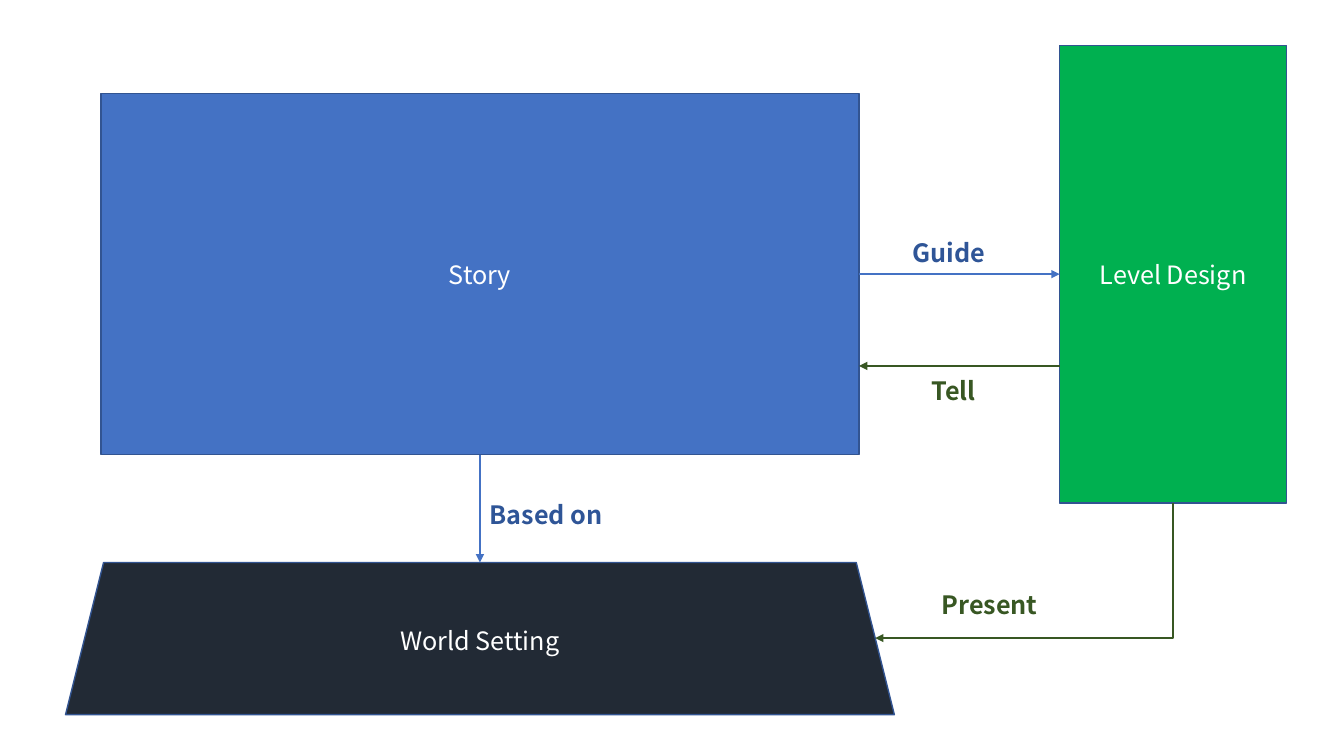
from lxml import etree
from pptx import Presentation
from pptx import util as u
from pptx.dml.color import RGBColor
from pptx.enum import shapes, text
from pptx.oxml.ns import qn

PX = 9144  # EMU per px, 100 px to the inch
FONT = "Noto Sans CJK SC"
BLUE, NAVY, GREEN = "4472C4", "2F5597", "385723"
TOP, LEFT, BOTTOM, RIGHT = range(4)


def px(*lengths):
    return [u.Emu(int(n * PX)) for n in lengths]


def rgb(value):
    return RGBColor.from_string(value)


def write(sp, words, color, bold=False, align=text.PP_ALIGN.LEFT,
          anchor=text.MSO_ANCHOR.TOP):
    tf = sp.text_frame
    tf.word_wrap = True
    tf.vertical_anchor = anchor
    p = tf.paragraphs[0]
    p.alignment = align
    r = p.add_run()
    r.text = words
    r.font.name, r.font.size, r.font.bold = FONT, u.Pt(18), bold
    r.font.color.rgb = rgb(color)
    ea = etree.SubElement(r.font._element, qn("a:ea"))
    ea.set("typeface", FONT)


def block(s, box, words, fill, kind=shapes.MSO_SHAPE.RECTANGLE):
    sp = s.shapes.add_shape(kind, *px(*box))
    sp.shadow.inherit = False
    sp.fill.solid()
    sp.fill.fore_color.rgb = rgb(fill)
    sp.line.color.rgb = rgb("325491")
    sp.line.width = u.Pt(1)
    write(sp, words, "FFFFFF", align=text.PP_ALIGN.CENTER,
          anchor=text.MSO_ANCHOR.MIDDLE)
    return sp


def label(s, box, words, color):
    sp = s.shapes.add_textbox(*px(*box))
    write(sp, words, color, bold=True)
    sp.text_frame.auto_size = text.MSO_AUTO_SIZE.SHAPE_TO_FIT_TEXT


def arrow(s, start, end, color, kind=shapes.MSO_CONNECTOR.STRAIGHT):
    c = s.shapes.add_connector(kind, *px(*start, *end))
    c.line.color.rgb = rgb(color)
    c.line.width = u.Pt(1.5)
    etree.SubElement(c.line._get_or_add_ln(), qn("a:tailEnd")).set("type", "triangle")
    etree.SubElement(c._element.spPr, qn("a:effectLst"))
    return c


def down_left_arrow(s, start, end, color):
    """One-bend arrow: a quarter-turned elbow, down and then left."""
    drop, run = end[1] - start[1], start[0] - end[0]
    cx, cy = (start[0] + end[0]) / 2, (start[1] + end[1]) / 2
    c = arrow(s, (cx - drop / 2, cy - run / 2), (cx + drop / 2, cy + run / 2),
              color, shapes.MSO_CONNECTOR.ELBOW)
    c._element.spPr.find(qn("a:prstGeom")).set("prst", "bentConnector2")
    c._element.spPr.find(qn("a:xfrm")).set("rot", str(90 * 60000))


def diagram(s, box):
    x, y, w, h = box

    # Blocks
    world_box = (x, y + h - 151, 822, 151)
    story_box = (x + 35, y + 48, 752, 358)
    level_box = (x + w - 225, y, 225, 454)
    world = block(s, world_box, "World Setting", "222A35", shapes.MSO_SHAPE.TRAPEZOID)
    story = block(s, story_box, "Story", BLUE)
    level = block(s, level_box, "Level Design", "00B050")

    # Anchor points
    story_x = story_box[0] + story_box[2] // 2
    story_right = story_box[0] + story_box[2]
    story_bottom = story_box[1] + story_box[3]
    level_left, level_bottom = level_box[0], y + level_box[3]
    level_x = level_left + level_box[2] // 2
    guide_y = y + level_box[3] // 2
    tell_y = guide_y + 91
    world_side = (x + world_box[2] - 19, world_box[1] + world_box[3] // 2)

    # Story to world setting
    c = arrow(s, (story_x, story_bottom), (story_x, world_box[1]), BLUE)
    c.begin_connect(story, BOTTOM)
    c.end_connect(world, TOP)
    label(s, (story_x, story_bottom + 39, 145, 40), "Based on", NAVY)

    # Story to level design and back
    c = arrow(s, (story_right, guide_y), (level_left, guide_y), BLUE)
    c.begin_connect(story, RIGHT)
    c.end_connect(level, LEFT)
    label(s, (story_right + 43, guide_y - 42, 113, 42), "Guide", NAVY)
    arrow(s, (level_left, tell_y), (story_right, tell_y), GREEN)
    label(s, (story_right + 62, tell_y + 4, 121, 40), "Tell", GREEN)

    # Level design to world setting
    down_left_arrow(s, (level_x, level_bottom), world_side, GREEN)
    label(s, (world_side[0] + 56, world_side[1] - 53, 142, 40), "Present", GREEN)


def main():
    prs = Presentation()
    prs.slide_width, prs.slide_height = px(1333, 750)
    s = prs.slides.add_slide(prs.slide_layouts[6])
    diagram(s, (65, 45, 1211, 664))
    prs.save("out.pptx")


if __name__ == "__main__":
    main()
